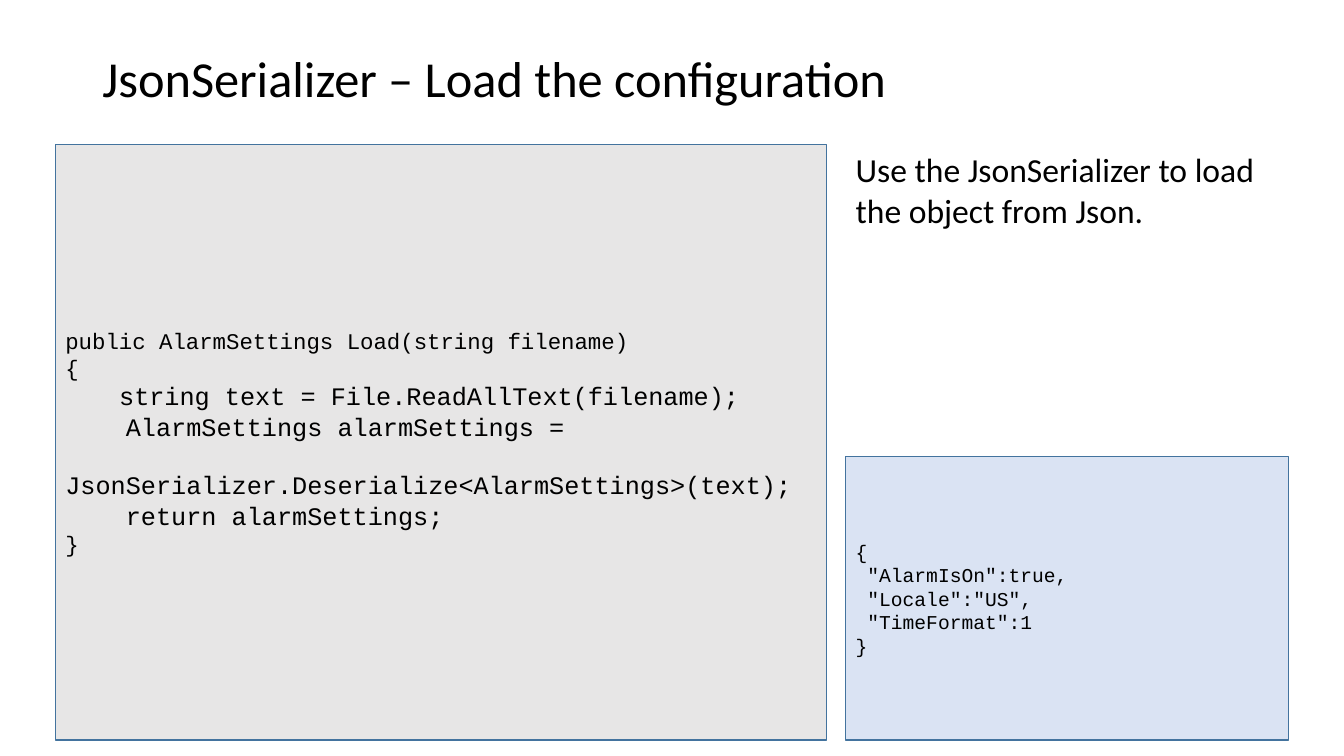
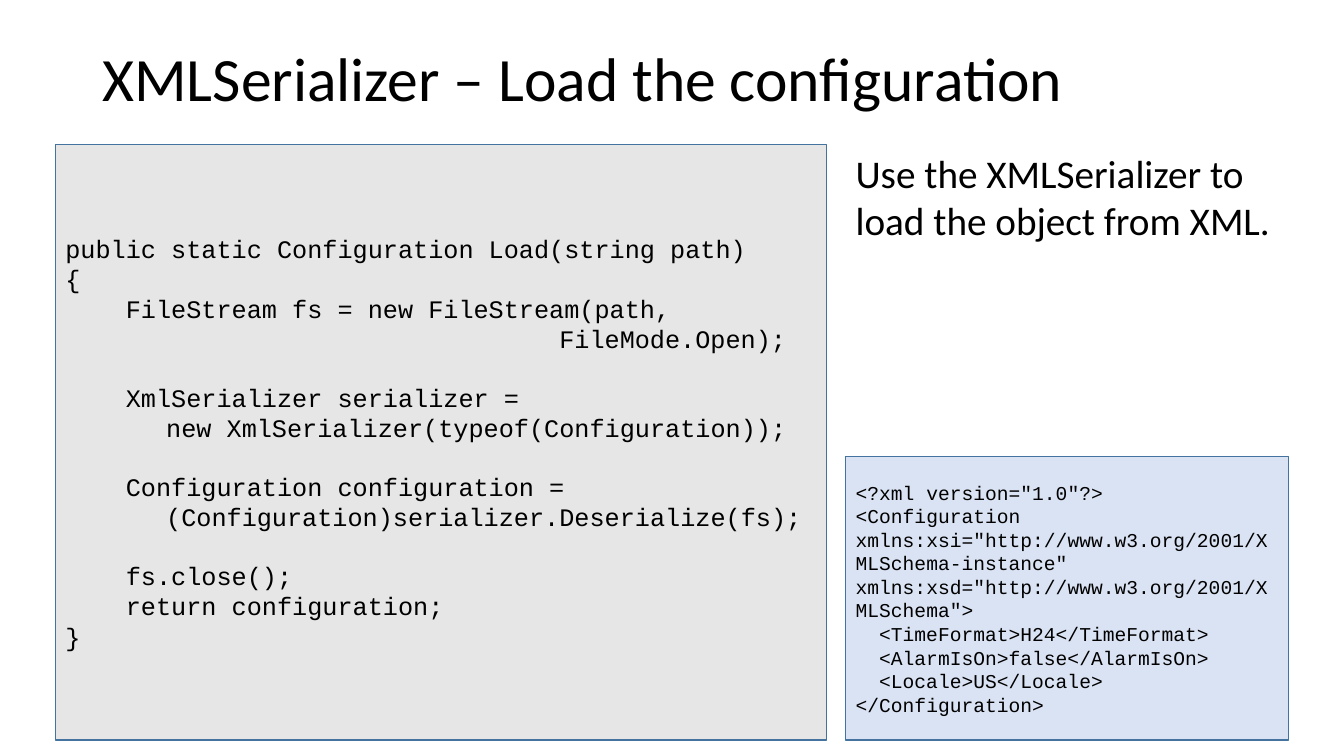
"""Build two slides on loading a configuration with a serializer."""
from dataclasses import dataclass

import pptx
import pptx.dml.color
import pptx.enum.shapes
import pptx.enum.text
import pptx.util

Pt = pptx.util.Pt
RGBColor = pptx.dml.color.RGBColor
Anchor = pptx.enum.text.MSO_ANCHOR


@dataclass(frozen=True)
class Theme:
    text_font: str = "Calibri"
    code_font: str = "Courier New"
    text: str = "000000"
    code_fill: str = "E7E6E6"
    data_fill: str = "DAE3F3"
    outline: str = "43739E"
    outline_width: float = 1
    code_size: float = 18
    brace_size: float = 16
    data_size: float = 14
    blank_line: float = 20.4
    title_spacing: float = 0.9


THEME = Theme()


@dataclass(frozen=True)
class Line:
    text: str
    indent: float = 0
    size: float = THEME.code_size
    gap: float = 0


def data_lines(rows):
    return [Line(text, indent, THEME.data_size) for text, indent in rows]


BODY, CONTINUED, ARGUMENT = 43.2, 72, 352.8
JSON_INDENT, XML_INDENT = 8.4, 16.8

SLIDES = [
    {
        "title": Line("JsonSerializer – Load the configuration", size=36),
        "note": Line("Use the JsonSerializer to load the object from Json.", size=24),
        "code": [
            Line("public AlarmSettings Load(string filename)", size=THEME.brace_size),
            Line("{", size=THEME.brace_size),
            Line("string text = File.ReadAllText(filename);", 38.4),
            Line("AlarmSettings alarmSettings =", BODY),
            Line("JsonSerializer.Deserialize<AlarmSettings>(text);", gap=THEME.blank_line),
            Line("return alarmSettings;", BODY),
            Line("}", size=THEME.brace_size),
        ],
        "data": data_lines([
            ("{", 0),
            ('"AlarmIsOn":true,', JSON_INDENT),
            ('"Locale":"US",', JSON_INDENT),
            ('"TimeFormat":1', JSON_INDENT),
            ("}", 0),
        ]),
    },
    {
        "title": Line("XMLSerializer – Load the configuration", size=44),
        "note": Line("Use the XMLSerializer to load the object from XML.", size=28),
        "code": [
            Line("public static Configuration Load(string path)"),
            Line("{"),
            Line("FileStream fs = new FileStream(path,", BODY),
            Line("FileMode.Open);", ARGUMENT),
            Line("XmlSerializer serializer =", BODY, gap=THEME.blank_line),
            Line("new XmlSerializer(typeof(Configuration));", CONTINUED),
            Line("Configuration configuration =", BODY, gap=THEME.blank_line),
            Line("(Configuration)serializer.Deserialize(fs);", CONTINUED),
            Line("fs.close();", BODY, gap=THEME.blank_line),
            Line("return configuration;", BODY),
            Line("}"),
        ],
        "data": data_lines([
            ('<?xml version="1.0"?>', 0),
            ('<Configuration xmlns:xsi="http://www.w3.org/2001/XMLSchema-instance" '
             'xmlns:xsd="http://www.w3.org/2001/XMLSchema">', 0),
            ("<TimeFormat>H24</TimeFormat>", XML_INDENT),
            ("<AlarmIsOn>false</AlarmIsOn>", XML_INDENT),
            ("<Locale>US</Locale>", XML_INDENT),
            ("</Configuration>", 0),
        ]),
    },
]

SLIDE_SIZE = (960, 540)
TOP, BOTTOM = 103, 528.5
SIDE_LEFT, SIDE_WIDTH = 604.1, 316.1
DATA_TOP = 326.2
TITLE_BOX = (66, 28.8, 828, 58.3)
CODE_BOX = (39.6, TOP, 550.8, BOTTOM - TOP)
NOTE_BOX = (SIDE_LEFT, TOP, SIDE_WIDTH, 211.7)
DATA_BOX = (SIDE_LEFT, DATA_TOP, SIDE_WIDTH, BOTTOM - DATA_TOP)


def write_lines(shape, lines, font, anchor, spacing=None):
    frame = shape.text_frame
    frame.word_wrap = True
    frame.vertical_anchor = anchor
    for index, line in enumerate(lines):
        paragraph = frame.add_paragraph() if index else frame.paragraphs[0]
        paragraph.alignment = pptx.enum.text.PP_ALIGN.LEFT
        paragraph.space_before = Pt(line.gap)
        paragraph.line_spacing = spacing
        if line.indent:
            paragraph._p.get_or_add_pPr().set("marL", str(Pt(line.indent)))
        run = paragraph.add_run()
        run.text = line.text
        run.font.name = font
        run.font.size = Pt(line.size)
        run.font.color.rgb = RGBColor.from_string(THEME.text)


def add_text(slide, box, line, anchor, spacing=None):
    shape = slide.shapes.add_textbox(*map(Pt, box))
    write_lines(shape, [line], THEME.text_font, anchor, spacing)


def add_panel(slide, box, lines, fill):
    shape = slide.shapes.add_shape(
        pptx.enum.shapes.MSO_SHAPE.RECTANGLE, *map(Pt, box))
    shape.shadow.inherit = False
    shape.fill.solid()
    shape.fill.fore_color.rgb = RGBColor.from_string(fill)
    shape.line.color.rgb = RGBColor.from_string(THEME.outline)
    shape.line.width = Pt(THEME.outline_width)
    write_lines(shape, lines, THEME.code_font, Anchor.MIDDLE)


def main():
    presentation = pptx.Presentation()
    presentation.slide_width, presentation.slide_height = map(Pt, SLIDE_SIZE)
    for content in SLIDES:
        slide = presentation.slides.add_slide(presentation.slide_layouts[6])
        add_text(slide, TITLE_BOX, content["title"], Anchor.MIDDLE, THEME.title_spacing)
        add_panel(slide, CODE_BOX, content["code"], THEME.code_fill)
        add_panel(slide, DATA_BOX, content["data"], THEME.data_fill)
        add_text(slide, NOTE_BOX, content["note"], Anchor.TOP)
    presentation.save("out.pptx")


if __name__ == "__main__":
    main()
